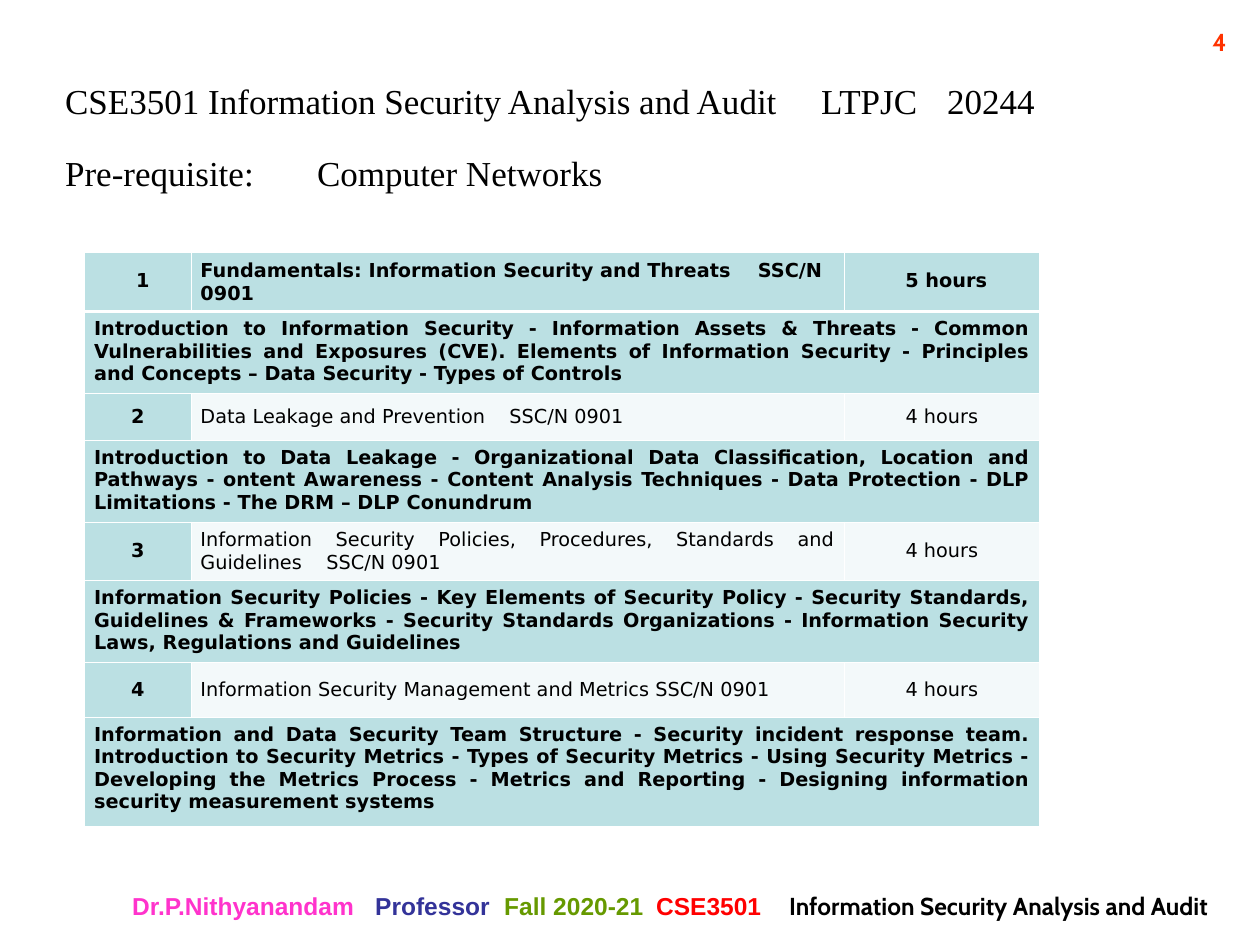
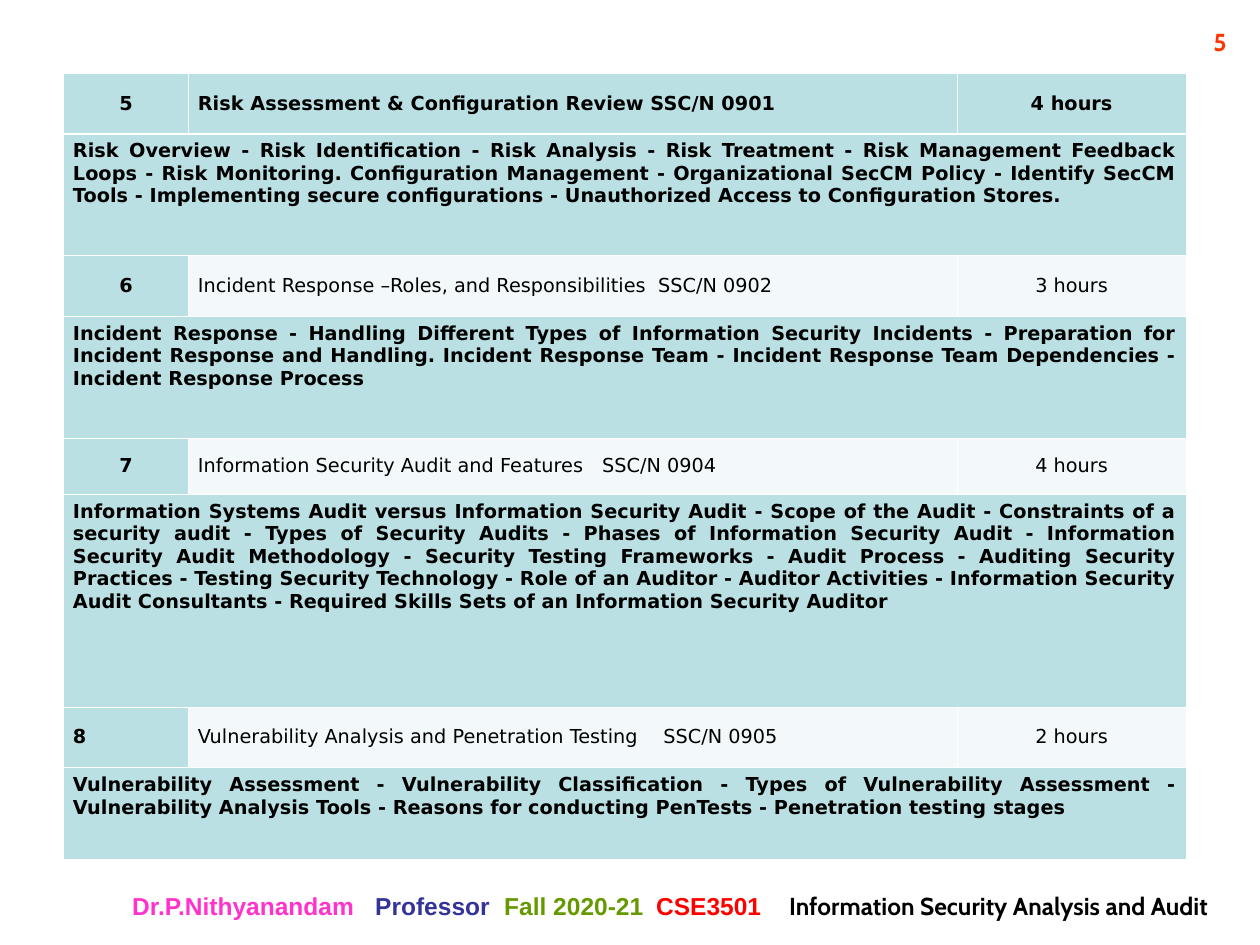
"""Build two syllabus slides for an information security course."""
from lxml.etree import SubElement
from pptx import Presentation
from pptx.dml.color import RGBColor
from pptx.enum.text import MSO_ANCHOR as Anchor, MSO_AUTO_SIZE as AutoSize, PP_ALIGN as Align
from pptx.oxml.ns import qn
from pptx.util import Pt

COLOURS = {
    "text": "000000", "teal": "BBE0E3", "pale": "F3F9FA", "border": "FFFFFF",
    "number": "FF3300", "pink": "FF33CC", "blue": "333399",
    "green": "669900", "red": "FF0000",
}
TITLE_FONT, CELL_FONT, FOOTER_FONT, ACCENT_FONT = (
    "Times New Roman", "DejaVu Sans", "Arial", "Cabin")

FOOTER = [
    ("Dr.P.Nithyanandam", FOOTER_FONT, "pink"),
    ("Professor", FOOTER_FONT, "blue"),
    ("Fall 2020-21", FOOTER_FONT, "green"),
    ("CSE3501", FOOTER_FONT, "red"),
    ("Information Security Analysis and Audit", ACCENT_FONT, "text"),
]
FOOTER_TABS = [138.9, 212.6, 299.4, 375.4]

COURSE_LINES = [
    "CSE3501 Information Security Analysis and Audit\tLTPJC\t20244",
    "Pre-requisite:\tComputer Networks",
]
COURSE_TABS = [144, 432, 504]

SLIDES = [
    {
        "number": "4", "heading": COURSE_LINES,
        "left": 48.4, "top": 144.4, "columns": [60.8, 373.3, 111.6],
        "first_indents": [5.8, 0, 5],
        "modules": [
            {"name": "Fundamentals: Information Security and Threats\tSSC/N 0901",
             "tab": 318.5, "hours": "5 hours", "heights": (31, 46.8),
             "topics": "Introduction to Information Security - Information Assets & Threats - "
                       "Common Vulnerabilities and Exposures (CVE). Elements of Information "
                       "Security - Principles and Concepts – Data Security - Types of Controls"},
            {"name": "Data Leakage and Prevention\tSSC/N 0901",
             "tab": 176.5, "hours": "4 hours", "heights": (26.5, 46.8),
             "topics": "Introduction to Data Leakage - Organizational Data Classification, "
                       "Location and Pathways - ontent Awareness - Content Analysis Techniques - "
                       "Data Protection - DLP Limitations - The DRM – DLP Conundrum"},
            {"name": "Information Security Policies, Procedures, Standards and "
                     "Guidelines\tSSC/N 0901",
             "tab": 72, "hours": "4 hours", "heights": (31, 46.8), "align": Align.JUSTIFY,
             "topics": "Information Security Policies - Key Elements of Security Policy - "
                       "Security Standards, Guidelines & Frameworks - Security Standards "
                       "Organizations - Information Security Laws, Regulations and Guidelines"},
            {"name": "Information Security Management and Metrics SSC/N 0901",
             "hours": "4 hours", "heights": (31, 62.6),
             "topics": "Information and Data Security Team Structure - Security incident response "
                       "team. Introduction to Security Metrics - Types of Security Metrics - Using "
                       "Security Metrics - Developing the Metrics Process - Metrics and Reporting "
                       "- Designing information security measurement systems"},
        ],
    },
    {
        "number": "5", "heading": [],
        "left": 36.3, "top": 41.8, "columns": [71.4, 439.2, 131],
        "first_indents": [0, 0, 0],
        "modules": [
            {"name": "Risk Assessment & Configuration Review SSC/N 0901",
             "hours": "4 hours", "heights": (34.6, 69.8),
             "topics": "Risk Overview - Risk Identification - Risk Analysis - Risk Treatment - "
                       "Risk Management Feedback Loops - Risk Monitoring. Configuration Management "
                       "- Organizational SecCM Policy - Identify SecCM Tools - Implementing secure "
                       "configurations - Unauthorized Access to Configuration Stores."},
            {"name": "Incident Response –Roles, and Responsibilities\tSSC/N 0902",
             "tab": 263, "hours": "3 hours", "heights": (34.6, 69.8),
             "topics": "Incident Response - Handling Different Types of Information Security "
                       "Incidents - Preparation for Incident Response and Handling. Incident "
                       "Response Team - Incident Response Team Dependencies - Incident Response "
                       "Process"},
            {"name": "Information Security Audit and Features\tSSC/N 0904",
             "tab": 231, "hours": "4 hours", "heights": (31.8, 121.7),
             "topics": "Information Systems Audit versus Information Security Audit - Scope of the "
                       "Audit - Constraints of a security audit - Types of Security Audits - Phases "
                       "of Information Security Audit - Information Security Audit Methodology - "
                       "Security Testing Frameworks - Audit Process - Auditing Security Practices - "
                       "Testing Security Technology - Role of an Auditor - Auditor Activities - "
                       "Information Security Audit Consultants - Required Skills Sets of an "
                       "Information Security Auditor"},
            {"name": "Vulnerability Analysis and Penetration Testing\tSSC/N 0905",
             "tab": 266, "hours": "2 hours", "heights": (34.6, 52.6),
             "number_align": Align.LEFT,
             "topics": "Vulnerability Assessment - Vulnerability Classification - Types of "
                       "Vulnerability Assessment - Vulnerability Analysis Tools - Reasons for "
                       "conducting PenTests - Penetration testing stages"},
        ],
    },
]


def colour(name):
    return RGBColor.from_string(COLOURS[name])


def set_font(font, name, size, colour_name, bold):
    font.name, font.size, font.bold = name, Pt(size), bold
    font.color.rgb = colour(colour_name)


def add_tabs(paragraph, positions):
    tab_list = SubElement(paragraph._p.get_or_add_pPr(), qn("a:tabLst"))
    for position in positions:
        SubElement(tab_list, qn("a:tab"), pos=str(Pt(position)), algn="l")


def add_text_box(slide, left, top, width, height):
    frame = slide.shapes.add_textbox(Pt(left), Pt(top), Pt(width), Pt(height)).text_frame
    frame.word_wrap = True
    return frame


def add_footer(slide):
    frame = add_text_box(slide, 2.2, 505.4, 761.8, 24.5)
    frame.margin_left = Pt(73.3)
    paragraph = frame.paragraphs[0]
    paragraph.alignment = Align.LEFT
    add_tabs(paragraph, FOOTER_TABS)
    for index, (text, font_name, colour_name) in enumerate(FOOTER):
        run = paragraph.add_run()
        run.text = text if index == 0 else "\t" + text
        set_font(run.font, font_name, 14, colour_name, True)


def add_page_number(slide, number):
    paragraph = add_text_box(slide, 540, 12, 168, 37.5).paragraphs[0]
    paragraph.text = number
    paragraph.alignment = Align.RIGHT
    set_font(paragraph.font, ACCENT_FONT, 14, "number", True)


def fill_heading(title, lines):
    title.left, title.top, title.width, title.height = Pt(30), Pt(30), Pt(648), Pt(96)
    frame = title.text_frame
    frame.auto_size = AutoSize.NONE
    frame.vertical_anchor = Anchor.TOP
    for index, line in enumerate(lines):
        paragraph = frame.add_paragraph() if index else frame.paragraphs[0]
        paragraph.text = line
        paragraph.alignment = Align.LEFT
        paragraph.line_spacing = 1.5
        paragraph.space_before = Pt(5 if index else 0)
        add_tabs(paragraph, COURSE_TABS)
        set_font(paragraph.font, TITLE_FONT, 20, "text", False)


def style_cell(cell, fill, top_line, bottom_line):
    properties = cell._tc.get_or_add_tcPr()
    widths = {"lnL": 0.45, "lnR": 0.45, "lnT": top_line, "lnB": bottom_line}
    for side, width in widths.items():
        line = SubElement(properties, qn("a:" + side), w=str(Pt(width)))
        line_fill = SubElement(line, qn("a:solidFill"))
        SubElement(line_fill, qn("a:srgbClr"), val=COLOURS["border"])
    cell.fill.solid()
    cell.fill.fore_color.rgb = colour(fill)
    cell.margin_left = cell.margin_right = Pt(5.4)
    cell.margin_top = cell.margin_bottom = Pt(3.6)


def write_cell(cell, text, alignment, bold, anchor=Anchor.MIDDLE, tab=None, indent=0):
    cell.vertical_anchor = anchor
    paragraph = cell.text_frame.paragraphs[0]
    paragraph.text = text
    paragraph.alignment = alignment
    if indent:
        paragraph._p.get_or_add_pPr().set("marL", str(Pt(indent)))
        paragraph.line_spacing = Pt(11.8)
    if tab:
        add_tabs(paragraph, [tab])
    set_font(paragraph.font, CELL_FONT, 11, "text", bold)


def add_module_table(slide, content):
    modules, columns = content["modules"], content["columns"]
    heights = [height for module in modules for height in module["heights"]]
    table = slide.shapes.add_table(
        len(heights), len(columns), Pt(content["left"]), Pt(content["top"]),
        Pt(sum(columns)), Pt(sum(heights))).table
    table.horz_banding = False
    for column, width in zip(table.columns, columns):
        column.width = Pt(width)
    for row_index, height in enumerate(heights):
        table.rows[row_index].height = Pt(height)
        for column_index in range(len(columns)):
            pale = row_index in range(2, len(heights), 2) and column_index > 0
            style_cell(table.cell(row_index, column_index), "pale" if pale else "teal",
                       1.47 if row_index == 1 else 0.45, 1.47 if row_index == 0 else 0.45)

    first_number = 1 + 4 * SLIDES.index(content)
    for index, module in enumerate(modules):
        row, first = 2 * index, index == 0
        indents = content["first_indents"] if first else [0, 0, 0]
        write_cell(table.cell(row, 0), str(first_number + index),
                   module.get("number_align", Align.CENTER), True, indent=indents[0])
        write_cell(table.cell(row, 1), module["name"], module.get("align", Align.LEFT),
                   first, tab=module.get("tab"))
        write_cell(table.cell(row, 2), module["hours"], Align.CENTER, first, indent=indents[2])
        topics = table.cell(row + 1, 0)
        topics.merge(table.cell(row + 1, 2))
        write_cell(topics, module["topics"], Align.JUSTIFY, True, Anchor.TOP)


def main():
    presentation = Presentation()
    presentation.slide_width, presentation.slide_height = Pt(720), Pt(540)
    title_only, blank = presentation.slide_layouts[5], presentation.slide_layouts[6]
    for content in SLIDES:
        slide = presentation.slides.add_slide(title_only if content["heading"] else blank)
        add_footer(slide)
        if content["heading"]:
            fill_heading(slide.shapes.title, content["heading"])
        add_page_number(slide, content["number"])
        add_module_table(slide, content)
    presentation.save("out.pptx")


if __name__ == "__main__":
    main()
